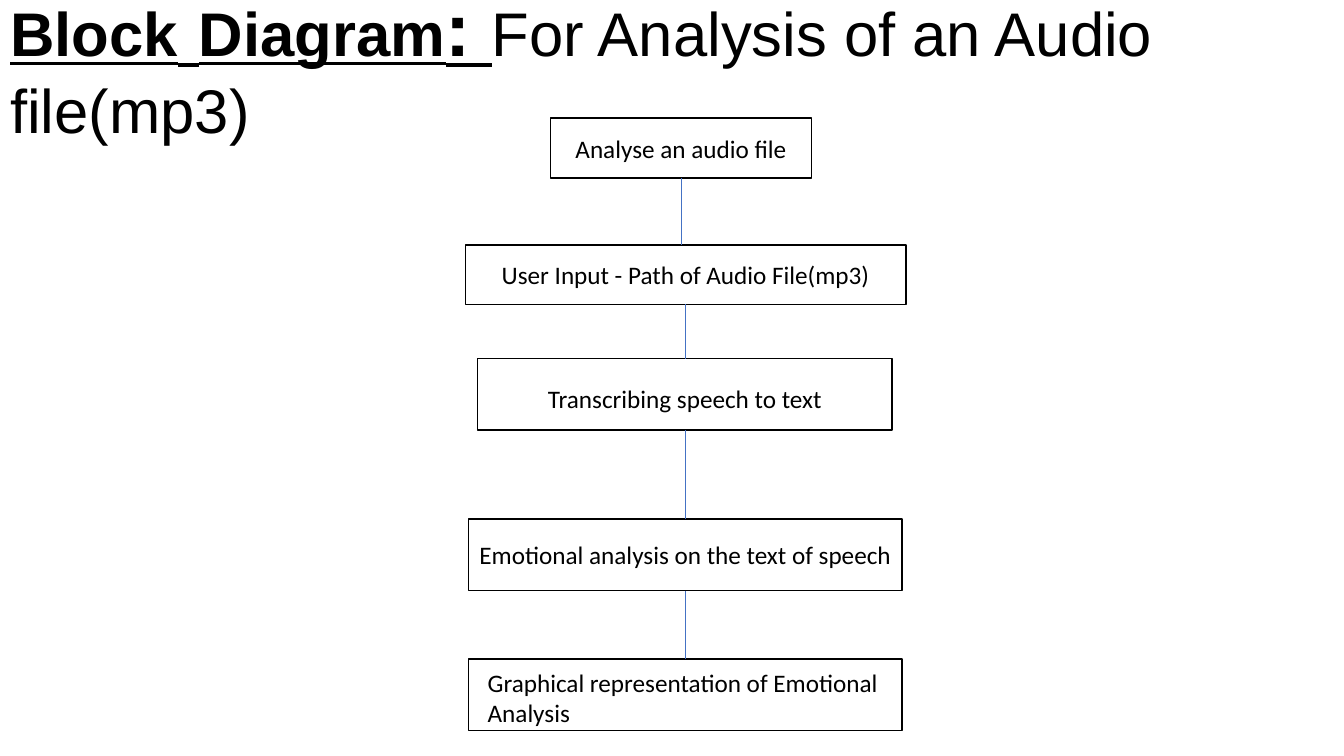
from itertools import pairwise

from lxml.etree import SubElement
from pptx import Presentation
from pptx.dml.color import RGBColor
from pptx.enum.shapes import MSO_CONNECTOR, MSO_SHAPE
from pptx.enum.text import MSO_ANCHOR, MSO_AUTO_SIZE, PP_ALIGN
from pptx.oxml.ns import qn
from pptx.util import Cm, Pt

HUES = {"ink": "000000", "paper": "FFFFFF", "link": "4472C4"}


def assign(item, values):
    for name, value in values.items():
        setattr(item, name, value)


def hue(name):
    return RGBColor.from_string(HUES[name])


class Chart:
    """Holds the slide being built and the style of its parts."""

    def __init__(self, deck):
        self.slide = deck.slides.add_slide(deck.slide_layouts[5])
        self.frame = {"word_wrap": True, "auto_size": MSO_AUTO_SIZE.NONE}
        self.label = {"name": "Calibri", "size": Pt(18)}
        self.head = {"name": "Arial"}

    def add_run(self, para, text, style):
        run = para.add_run()
        run.text = text
        assign(run.font, style)
        run.font.color.rgb = hue("ink")

    def title(self, place, runs):
        shape = self.slide.shapes.title
        assign(shape, dict(zip(("left", "top", "width", "height"), map(Cm, place))))
        assign(shape.text_frame, {**self.frame, "vertical_anchor": MSO_ANCHOR.TOP})
        para = shape.text_frame.paragraphs[0]
        assign(para, {"alignment": PP_ALIGN.LEFT, "line_spacing": 1.0})
        for text, size, strong in runs:
            look = {"size": Pt(size), "bold": strong, "underline": strong}
            self.add_run(para, text, {**self.head, **look})

    def box(self, text, place, align=PP_ALIGN.CENTER, inset=0.1, drop=0):
        """Draw a labelled step; drop lowers the label inside it."""
        shape = self.slide.shapes.add_shape(MSO_SHAPE.RECTANGLE, *map(Cm, place))
        shape.shadow.inherit = False
        shape.fill.solid()
        shape.fill.fore_color.rgb = hue("paper")
        shape.line.color.rgb = hue("ink")
        shape.line.width = Pt(1)
        assign(shape.text_frame, {
            **self.frame,
            "vertical_anchor": MSO_ANCHOR.MIDDLE,
            "margin_left": Cm(inset),
            "margin_right": Cm(0.1),
            "margin_top": Cm(drop),
            "margin_bottom": 0,
        })
        para = shape.text_frame.paragraphs[0]
        para.alignment = align
        self.add_run(para, text, self.label)
        return shape

    def link(self, upper, lower):
        """Join two steps straight down from the middle of the upper one."""
        mid = upper.left + upper.width // 2
        line = self.slide.shapes.add_connector(
            MSO_CONNECTOR.STRAIGHT, mid, upper.top + upper.height, mid, lower.top)
        line.line.color.rgb = hue("link")
        line.line.width = Pt(0.5)
        SubElement(line._element.spPr, qn("a:effectLst"))


def main():
    deck = Presentation()
    assign(deck, {"slide_width": Cm(33.87), "slide_height": Cm(19.05)})
    chart = Chart(deck)
    chart.title((0, -0.6, 35.28, 2.57), [
        ("Block", 44, True),
        (" ", 54, True),
        ("Diagram", 44, True),
        (": ", 54, True),
        ("For Analysis of an Audio file(mp3)", 44, False),
    ])
    steps = [
        chart.box("Analyse an audio file", (13.87, 2.97, 6.58, 1.52)),
        chart.box("User Input - Path of Audio File(mp3)", (11.73, 6.17, 11.1, 1.5)),
        chart.box("Transcribing speech to text", (12.04, 9.04, 10.44, 1.8), drop=0.18),
        chart.box("Emotional analysis on the text of speech", (11.81, 13.08, 10.92, 1.8)),
        chart.box("Graphical representation of Emotional Analysis",
                  (11.81, 16.61, 10.92, 1.8), PP_ALIGN.LEFT, 0.48, 0.13),
    ]
    for upper, lower in pairwise(steps):
        chart.link(upper, lower)
    deck.save("out.pptx")


if __name__ == "__main__":
    main()
